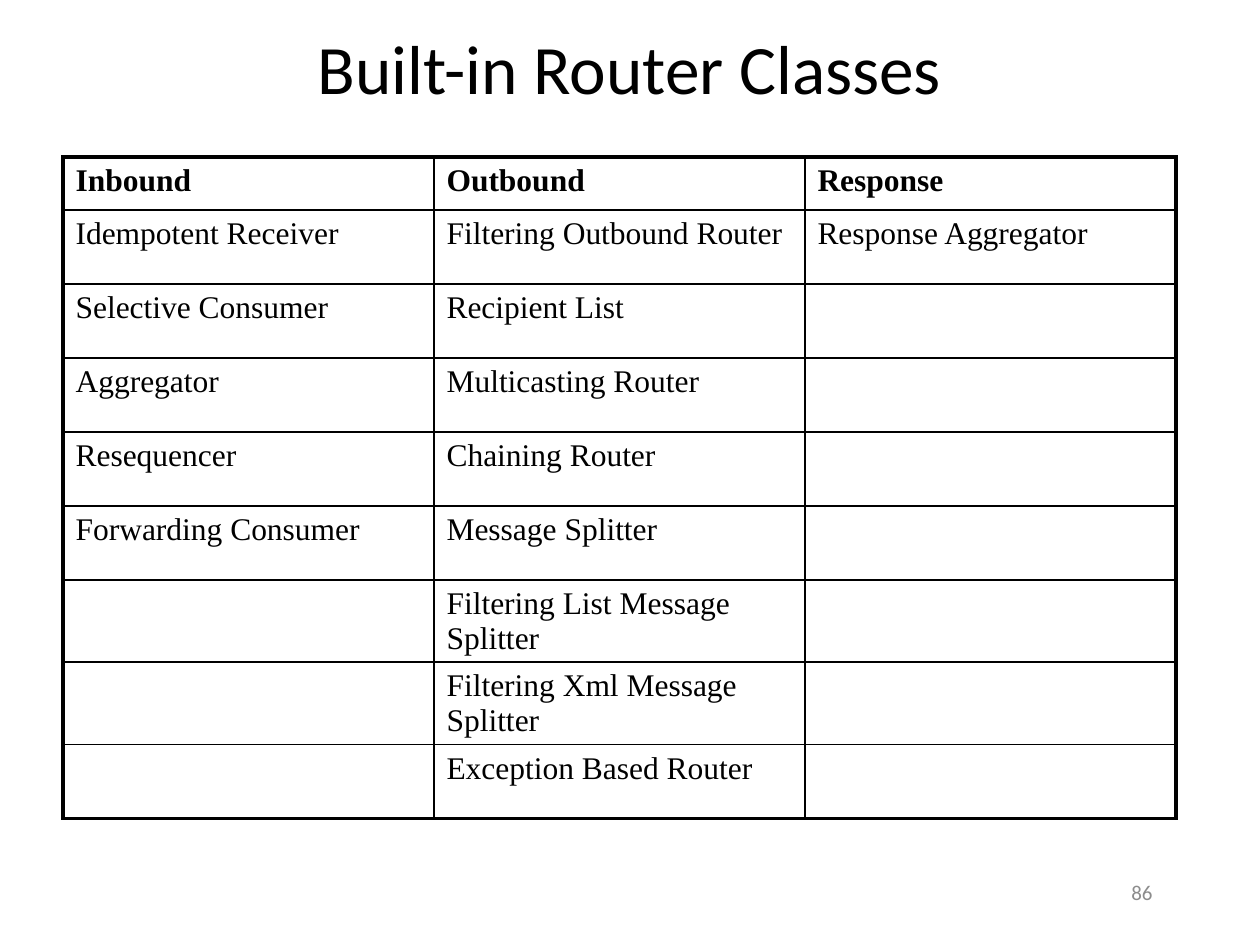
from lxml import etree
from pptx import Presentation
from pptx import util as u
from pptx.dml.color import RGBColor
from pptx.enum import text
from pptx.oxml.ns import qn

TITLE = "Built-in Router Classes"
NUMBER = "86"
ROUTERS = {
    "Inbound": ["Idempotent Receiver", "Selective Consumer", "Aggregator",
                "Resequencer", "Forwarding Consumer"],
    "Outbound": ["Filtering Outbound Router", "Recipient List",
                 "Multicasting Router", "Chaining Router", "Message Splitter",
                 "Filtering List Message Splitter",
                 "Filtering Xml Message Splitter", "Exception Based Router"],
    "Response": ["Response Aggregator"],
}
LEFT, TOP, COL, HEAD, ROW = 63, 157, 371, 53, 74
THIN, THICK = 1, 2.25
BLACK, GREY = "000000", "8C8C8C"


def px(n):
    return u.Emu(round(n * 914400 / 126))


def style(para, face, size, color, bold=False):
    font = para.font
    font.name, font.size, font.bold = face, u.Pt(size), bold
    font.color.rgb = RGBColor.from_string(color)


def space(para):
    """Set the gap before a paragraph to 20 % of its line."""
    gap = etree.SubElement(para._p.get_or_add_pPr(), qn("a:spcBef"))
    etree.SubElement(gap, qn("a:spcPct"), val="20000")


def edge(cell, side, width):
    line = etree.SubElement(cell._tc.get_or_add_tcPr(), qn("a:ln" + side),
                            w=str(u.Pt(width)))
    fill = etree.SubElement(line, qn("a:solidFill"))
    etree.SubElement(fill, qn("a:srgbClr"), val=BLACK)


def add_title(slide):
    title = slide.shapes.title
    title.left, title.top, title.width, title.height = map(px, (94, 15, 1071, 103))
    frame = title.text_frame
    frame.text = TITLE
    frame.vertical_anchor = text.MSO_ANCHOR.MIDDLE
    para = frame.paragraphs[0]
    para.alignment = text.PP_ALIGN.CENTER
    style(para, "Calibri", 39.6, BLACK)


def add_routers(slide):
    cols = len(ROUTERS)
    rows = 1 + max(map(len, ROUTERS.values()))
    high = HEAD + ROW * (rows - 1)
    table = slide.shapes.add_table(rows, cols, px(LEFT), px(TOP),
                                   px(COL * cols), px(high)).table
    table.first_row = table.horz_banding = False
    for r, row in enumerate(table.rows):
        row.height = px(ROW if r else HEAD)
    for c, (head, names) in enumerate(ROUTERS.items()):
        table.columns[c].width = px(COL)
        words = [head] + names
        for r in range(rows):
            cell = table.cell(r, c)
            outer = {"L": c == 0, "R": c == cols - 1,
                     "T": r == 0, "B": r == rows - 1}
            for side, out in outer.items():
                edge(cell, side, THICK if out else THIN)
            cell.fill.background()
            if r < len(words):
                cell.text = words[r]
                para = cell.text_frame.paragraphs[0]
                space(para)
                style(para, "Times New Roman", 18, BLACK, r == 0)


def add_number(slide):
    frame = slide.shapes.add_textbox(*map(px, (903, 861, 262, 63))).text_frame
    frame.word_wrap = True
    frame.vertical_anchor = text.MSO_ANCHOR.MIDDLE
    frame.text = NUMBER
    para = frame.paragraphs[0]
    para.alignment = text.PP_ALIGN.RIGHT
    style(para, "Calibri", 12, GREY)


def main():
    deck = Presentation()
    deck.slide_width, deck.slide_height = px(1260), px(945)
    slide = deck.slides.add_slide(deck.slide_layouts[5])
    add_title(slide)
    add_routers(slide)
    add_number(slide)
    deck.save("out.pptx")


if __name__ == "__main__":
    main()
